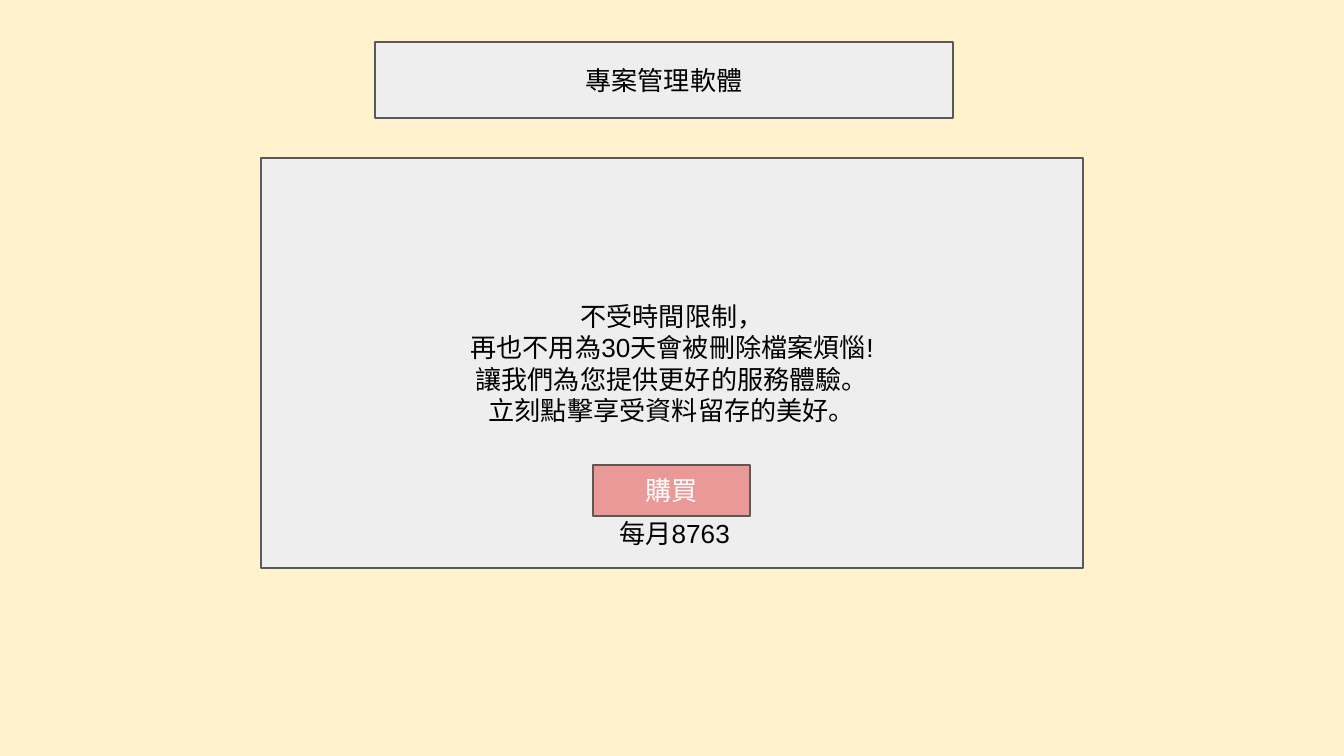
from dataclasses import dataclass

from pptx import Presentation
from pptx.dml.color import RGBColor
from pptx.enum.shapes import MSO_SHAPE
from pptx.enum.text import MSO_ANCHOR, MSO_AUTO_SIZE, PP_ALIGN
from pptx.shapes.autoshape import Shape
from pptx.util import Emu, Inches, Pt

PIXELS_PER_INCH = 134.4
CREAM = RGBColor(0xFF, 0xF2, 0xCC)
LIGHT_GRAY = RGBColor(0xEE, 0xEE, 0xEE)
DARK_GRAY = RGBColor(0x59, 0x59, 0x59)
PINK = RGBColor(0xEA, 0x99, 0x99)
BLACK = RGBColor(0x00, 0x00, 0x00)
WHITE = RGBColor(0xFF, 0xFF, 0xFF)


@dataclass(frozen=True)
class Box:
    left: int
    top: int
    width: int
    height: int
    text: str
    fill: RGBColor = LIGHT_GRAY
    text_color: RGBColor = BLACK


HEADING = Box(375, 42, 578, 76, "專案管理軟體")
OFFER_PANEL = Box(261, 158, 822, 410, "\n".join([
    "不受時間限制，",
    "再也不用為30天會被刪除檔案煩惱!",
    "讓我們為您提供更好的服務體驗。",
    "立刻點擊享受資料留存的美好。",
]))
BUY_BUTTON = Box(593, 465, 157, 51, "購買", PINK, WHITE)
PRICE = Box(606, 508, 184, 18, "每月8763")


def px(pixels: int) -> Emu:
    return Inches(pixels / PIXELS_PER_INCH)


def frame(box: Box) -> tuple[Emu, Emu, Emu, Emu]:
    return px(box.left), px(box.top), px(box.width), px(box.height)


def write_text(shape: Shape, box: Box, alignment: PP_ALIGN, anchor: MSO_ANCHOR) -> None:
    text_frame = shape.text_frame
    text_frame.text = box.text
    text_frame.word_wrap = True
    text_frame.auto_size = MSO_AUTO_SIZE.NONE
    text_frame.vertical_anchor = anchor
    text_frame.margin_left = text_frame.margin_right = Inches(0.1)
    text_frame.margin_top = text_frame.margin_bottom = Inches(0.1)
    for paragraph in text_frame.paragraphs:
        paragraph.alignment = alignment
        for run in paragraph.runs:
            run.font.name = "Arial"
            run.font.size = Pt(14)
            run.font.color.rgb = box.text_color


def format_panel(shape: Shape, box: Box) -> None:
    shape.fill.solid()
    shape.fill.fore_color.rgb = box.fill
    shape.line.color.rgb = DARK_GRAY
    shape.line.width = Pt(0.75)
    shape.shadow.inherit = False
    write_text(shape, box, PP_ALIGN.CENTER, MSO_ANCHOR.MIDDLE)


def main() -> None:
    presentation = Presentation()
    presentation.slide_width = px(1344)
    presentation.slide_height = px(756)
    title_only_layout = presentation.slide_layouts[5]
    slide = presentation.slides.add_slide(title_only_layout)
    slide.background.fill.solid()
    slide.background.fill.fore_color.rgb = CREAM

    # Heading
    title = slide.shapes.title
    title.left, title.top, title.width, title.height = frame(HEADING)
    format_panel(title, HEADING)

    # Offer panel and its button
    for box in (OFFER_PANEL, BUY_BUTTON):
        format_panel(slide.shapes.add_shape(MSO_SHAPE.RECTANGLE, *frame(box)), box)

    # Price below the button
    price = slide.shapes.add_textbox(*frame(PRICE))
    write_text(price, PRICE, PP_ALIGN.LEFT, MSO_ANCHOR.TOP)

    presentation.save("out.pptx")


if __name__ == "__main__":
    main()
